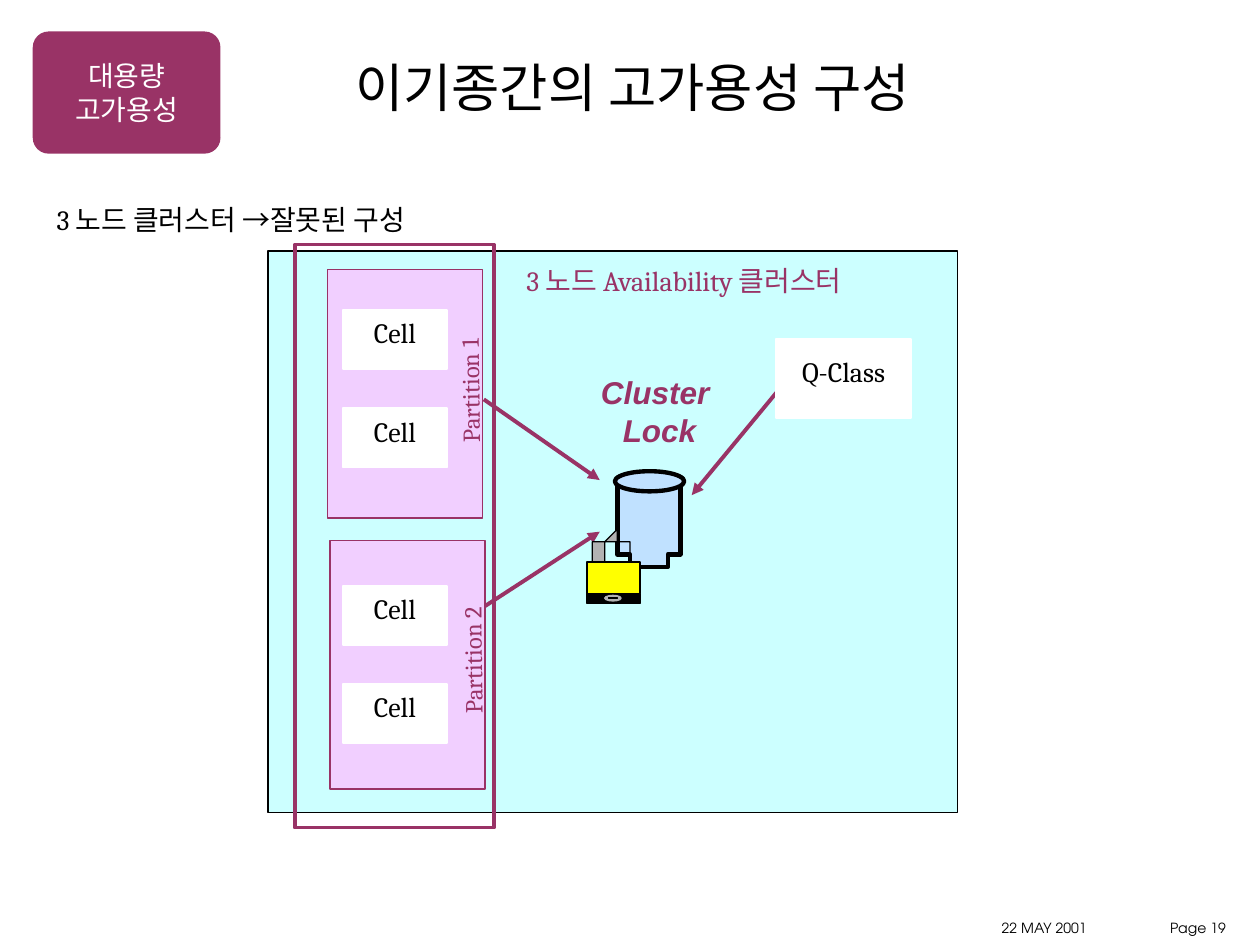
"""Builds a slide on a three-node cluster whose two partitions share one cabinet."""
from math import cos, pi, sin

from lxml import etree
from pptx import Presentation
from pptx.dml.color import RGBColor
from pptx.enum.shapes import MSO_CONNECTOR, MSO_SHAPE
from pptx.enum.text import MSO_ANCHOR, MSO_AUTO_SIZE, PP_ALIGN
from pptx.oxml.ns import qn
from pptx.util import Inches, Pt

RECTANGLE, ROUNDED, OVAL = MSO_SHAPE.RECTANGLE, MSO_SHAPE.ROUNDED_RECTANGLE, MSO_SHAPE.OVAL
STRAIGHT = MSO_CONNECTOR.STRAIGHT
LEFT, CENTER, RIGHT = PP_ALIGN.LEFT, PP_ALIGN.CENTER, PP_ALIGN.RIGHT
TOP, MIDDLE = MSO_ANCHOR.TOP, MSO_ANCHOR.MIDDLE
COLORS = {
    name: RGBColor.from_string(value)
    for name, value in {
        "plum": "993366", "lilac": "F1CFFF", "aqua": "CCFFFF", "sky": "C0E1FF",
        "yellow": "FFFF00", "gray": "B2B2B2", "black": "000000", "white": "FFFFFF",
    }.items()
}

deck = Presentation()
deck.slide_width, deck.slide_height = Inches(10), Inches(7.5)
unit = deck.slide_width // 100
slide = deck.slides.add_slide(deck.slide_layouts[5])
shapes = slide.shapes


def add_box(place, kind=None, fill=None, line=None, weight=1):
    """Add a text box or preset shape at a place given in grid units."""
    corners = [round(unit * value) for value in place]
    if kind is None:
        return shapes.add_textbox(*corners)
    box = shapes.add_shape(kind, *corners)
    box.shadow.inherit = False
    for paint, color in ((box.fill, fill), (box.line.fill, line)):
        if color:
            paint.solid()
            paint.fore_color.rgb = COLORS[color]
        else:
            paint.background()
    if line:
        box.line.width = Pt(weight)
    return box


def write(box, spans, size, color="black", align=LEFT, anchor=TOP, wrap=True, margins=(1, 0.5, 1, 0.5)):
    """Write (text, font) spans as one paragraph and return it."""
    frame = box.text_frame
    frame.auto_size = MSO_AUTO_SIZE.NONE
    frame.word_wrap, frame.vertical_anchor = wrap, anchor
    frame.margin_left, frame.margin_top, frame.margin_right, frame.margin_bottom = (
        round(unit * margin) for margin in margins
    )
    para = frame.paragraphs[0]
    para.alignment = align
    para.font.size, para.font.color.rgb = Pt(size), COLORS[color]
    if len(spans) == 1:
        para.text, para.font.name = spans[0]
    else:
        for text, font in spans:
            span = para.add_run()
            span.text, span.font.name = text, font
    return para


badge = add_box((2.6, 2.5, 14.9, 9.7), ROUNDED, "plum")
badge.adjustments[0] = 0.13
write(badge, [("대용량 고가용성", "Quicksand")], 16, "white", CENTER, MIDDLE)

title = shapes.title
title.left, title.top, title.width, title.height = (
    round(unit * value) for value in (17, 4.4, 66.4, 7.7)
)
write(title, [("이기종간의 고가용성 구성", "Quicksand")], 30, align=CENTER, margins=(0, 0, 0, 0))

for text, place, align, anchor in (
    ("22 MAY 2001", (79.5, 73, 10.1, 1.3), LEFT, MIDDLE),
    ("Page 19", (91.7, 73, 5.6, 1.6), RIGHT, TOP),
):
    write(add_box(place), [(text, "TeX Gyre Adventor")], 8, "black", align, anchor, True, (0, 0, 0, 0))

write(
    add_box((3.5, 15.6, 31.5, 3.7)),
    [("3 노드 클러스터 ", "Cambria"), ("→", "Arial"), ("잘못된 구성", "Cambria")],
    16, wrap=False,
)

add_box((21.3, 19.9, 54.7, 44.6), RECTANGLE, "aqua", "black")
add_box((23.4, 19.4, 15.8, 46.3), RECTANGLE, None, "plum", 2)
write(add_box((40.8, 20.4, 32.7, 3.7)), [("3 노드 Availability 클러스터", "Cambria")], 16, "plum", wrap=False)

nodes = [("Q-Class", (61.6, 26.9, 10.7, 6.3))]
for number, left, top, first_cell in ((1, 26, 21.4, 24.6), (2, 26.2, 42.9, 46.5)):
    add_box((left, top, 12.3, 19.7), RECTANGLE, "lilac", "plum")
    label = add_box((left + 4.7, top + 6.4, 13.2, 3.4))
    label.rotation = 269.3
    write(label, [(f"Partition {number}", "Cambria")], 14, "plum")
    nodes += [("Cell", (27.2, first_cell + 7.8 * row, 8.3, 4.7)) for row in range(2)]

for ends in ((38.4, 31.7, 47.6, 38.1), (38.5, 48.1, 47.6, 42.2), (62, 30.7, 54.9, 39.3)):
    arrow = shapes.add_connector(STRAIGHT, *(round(unit * value) for value in ends))
    arrow.line.color.rgb, arrow.line.width = COLORS["plum"], Pt(2.25)
    etree.SubElement(arrow.line._get_or_add_ln(), qn("a:tailEnd"), type="triangle")
    etree.SubElement(arrow._element.spPr, qn("a:effectLst"))

for text, place in nodes:
    node = add_box(place, RECTANGLE, "white", "white")
    write(node, [(text, "Cambria")], 16, "black", CENTER, MIDDLE, False, (1, 0.5, 1, 1.6))

half_turn = [pi * step / 20 for step in range(21)]
disk_points = [(48.8, 38.2), (54.3, 38.2)]
disk_points += [(51.55 + 2.75 * cos(angle), 43.7 + 0.9 * sin(angle)) for angle in half_turn]
shackle_points = [(47.6, 44.7)]
shackle_points += [(48.65 - 1.05 * cos(angle), 43.7 - 0.8 * sin(angle)) for angle in half_turn]
shackle_points += [(49.7, 44.7), (50.2, 44.7)]
shackle_points += [(48.65 + 1.55 * cos(angle), 43.7 - 1.2 * sin(angle)) for angle in half_turn]
shackle_points += [(47.1, 44.7)]

outlines = []
for points, fill, weight in ((disk_points, "sky", 2.5), (shackle_points, "gray", 0.75)):
    builder = shapes.build_freeform(*points[0], scale=unit)
    builder.add_line_segments(points[1:], close=True)
    outline = builder.convert_to_shape()
    outline.shadow.inherit = False
    outline.fill.solid()
    outline.fill.fore_color.rgb = COLORS[fill]
    outline.line.color.rgb, outline.line.width = COLORS["black"], Pt(weight)
    outlines.append(outline)

add_box((48.8, 37.4, 5.5, 1.6), OVAL, "sky", "black", 2.5)
lock_parts = [outlines[1]] + [
    add_box(place, kind, fill, line, 0.75)
    for place, kind, fill, line in (
        ((46.6, 44.6, 4.2, 2.5), RECTANGLE, "yellow", "black"),
        ((46.6, 47.1, 4.2, 0.8), RECTANGLE, "black", "black"),
        ((48, 47.25, 1.3, 0.45), OVAL, "gray", "gray"),
        ((48.3, 47.45, 0.7, 0.05), RECTANGLE, "black", "black"),
    )
]
shapes.add_group_shape(lock_parts)

lock_label = write(
    add_box((46.7, 29.1, 10.6, 7)), [("Cluster\v Lock", "Arial")], 18, "plum", CENTER, MIDDLE, False
)
lock_label.font.bold = lock_label.font.italic = True

deck.save("out.pptx")
